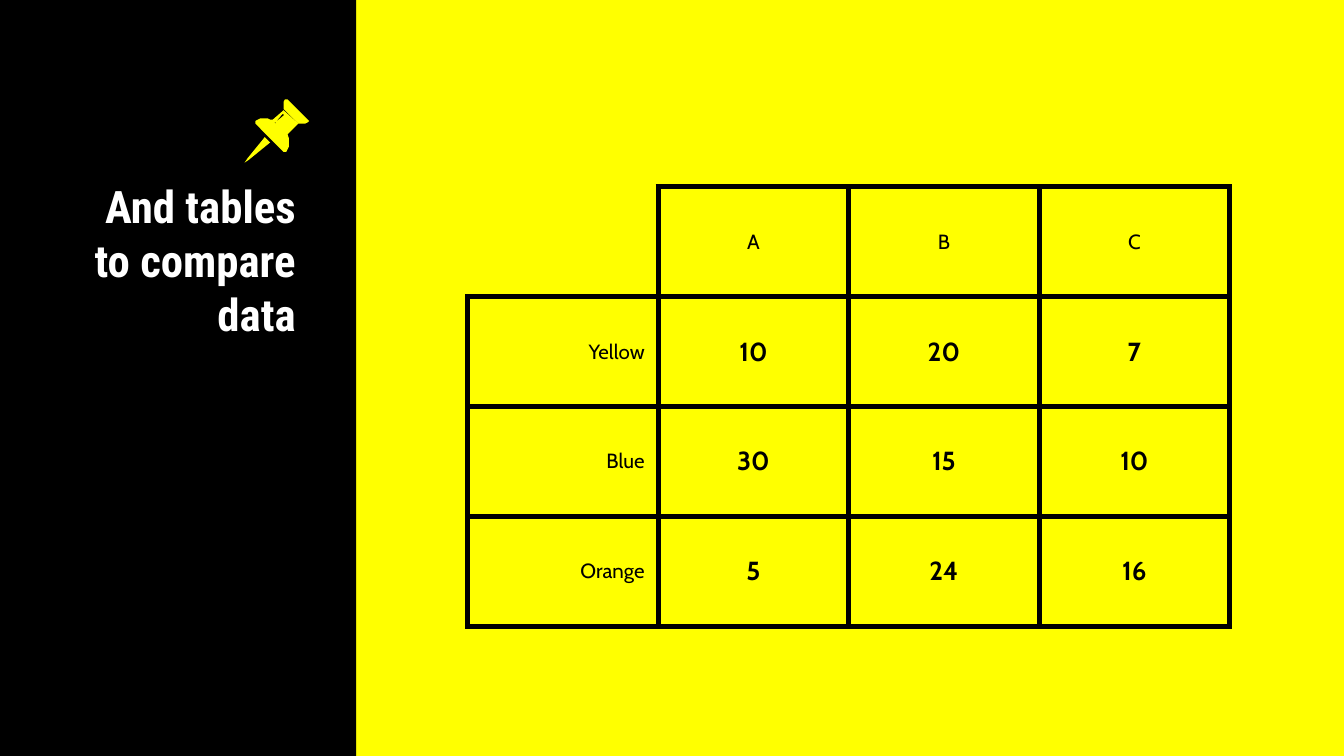
from pptx import Presentation
from pptx.dml.color import RGBColor
from pptx.enum.shapes import MSO_SHAPE
from pptx.enum.text import MSO_ANCHOR, MSO_AUTO_SIZE, PP_ALIGN
from pptx.oxml import parse_xml
from pptx.oxml.ns import nsdecls
from pptx.util import Inches, Pt

YELLOW = RGBColor(0xFF, 0xFF, 0x00)
BLACK = RGBColor(0x00, 0x00, 0x00)
WHITE = RGBColor(0xFF, 0xFF, 0xFF)


def add_text(paragraph, text, font, size, color, bold):
    span = paragraph.add_run()
    span.text = text
    span.font.name = font
    span.font.size = Pt(size)
    span.font.color.rgb = color
    span.font.bold = bold


def set_borders(cell, visible_sides):
    properties = cell._tc.get_or_add_tcPr()
    for index, side in enumerate("LRTB"):
        paint = "<a:noFill/>"
        if side in visible_sides:
            paint = f'<a:solidFill><a:srgbClr val="{BLACK}"/></a:solidFill>'
        border = parse_xml(f'<a:ln{side} {nsdecls("a")} w="{Pt(3)}">{paint}</a:ln{side}>')
        properties.insert(index, border)


deck = Presentation()
deck.slide_width = Inches(10)
deck.slide_height = Inches(10 * 9 / 16)
page = deck.slides.add_slide(deck.slide_layouts[5])
page.background.fill.solid()
page.background.fill.fore_color.rgb = YELLOW

panel = page.shapes.add_shape(MSO_SHAPE.RECTANGLE, 0, 0, Inches(2.65), deck.slide_height)
panel.shadow.inherit = False
panel.fill.solid()
panel.fill.fore_color.rgb = BLACK
panel.line.fill.background()

title = page.shapes.title
title.left, title.top = Inches(0.44), Inches(1.23)
title.width, title.height = Inches(1.86), Inches(1.62)
page.shapes._spTree.append(title._element)
frame = title.text_frame
frame.word_wrap = True
frame.auto_size = MSO_AUTO_SIZE.NONE
frame.vertical_anchor = MSO_ANCHOR.TOP
frame.margin_left = frame.margin_right = Inches(0.1)
frame.margin_top = frame.margin_bottom = Inches(0.1)
heading = frame.paragraphs[0]
heading.alignment = PP_ALIGN.RIGHT
add_text(heading, "And tables to compare data", "Roboto Condensed", 24, WHITE, True)

rows = [
    ["", "A", "B", "C"],
    ["Yellow", "10", "20", "7"],
    ["Blue", "30", "15", "10"],
    ["Orange", "5", "24", "16"],
]
table_width, table_height = 5.67, 3.27
table = page.shapes.add_table(
    len(rows), len(rows[0]), Inches(3.48), Inches(1.39),
    Inches(table_width), Inches(table_height),
).table
table.first_row = False
table.horz_banding = False
for row_index, row in enumerate(rows):
    for column_index, text in enumerate(row):
        cell = table.cell(row_index, column_index)
        cell.fill.background()
        is_corner = row_index == 0 and column_index == 0
        set_borders(cell, "RB" if is_corner else "LRTB")
        if is_corner:
            continue
        cell.vertical_anchor = MSO_ANCHOR.MIDDLE
        cell.margin_left = cell.margin_right = Inches(0.1)
        cell.margin_top = cell.margin_bottom = Inches(0.07)
        paragraph = cell.text_frame.paragraphs[0]
        paragraph.alignment = PP_ALIGN.RIGHT if column_index == 0 else PP_ALIGN.CENTER
        is_value = row_index > 0 and column_index > 0
        add_text(paragraph, text, "Cabin", 14 if is_value else 11, BLACK, is_value)

needle = [[(197, 102), (184, 118), (182, 121), (185, 119), (201, 106)]]
cap = [[
    (213, 74), (212, 74), (211, 76), (211, 81), (222, 92), (227, 92),
    (229, 91), (230, 90), (229, 89), (214, 74),
]]
body = [
    [(210, 85), (211, 85), (211, 86), (205, 91), (205, 92), (204, 91), (205, 91)],
    [
        (211, 82), (203, 89), (201, 89), (199, 88), (194, 88), (192, 89), (190, 90),
        (190, 92), (211, 113), (213, 113), (214, 111), (215, 109), (215, 103),
        (214, 100), (222, 92),
    ],
]
pushpin = page.shapes.add_group_shape()
for outlines in (needle, cap, body):
    builder = pushpin.shapes.build_freeform(*outlines[0][0], scale=Inches(0.01))
    builder.add_line_segments(outlines[0][1:], close=True)
    for outline in outlines[1:]:
        builder.move_to(*outline[0])
        builder.add_line_segments(outline[1:], close=True)
    part = builder.convert_to_shape()
    part.shadow.inherit = False
    part.fill.solid()
    part.fill.fore_color.rgb = YELLOW
    part.line.fill.background()

deck.save("out.pptx")
